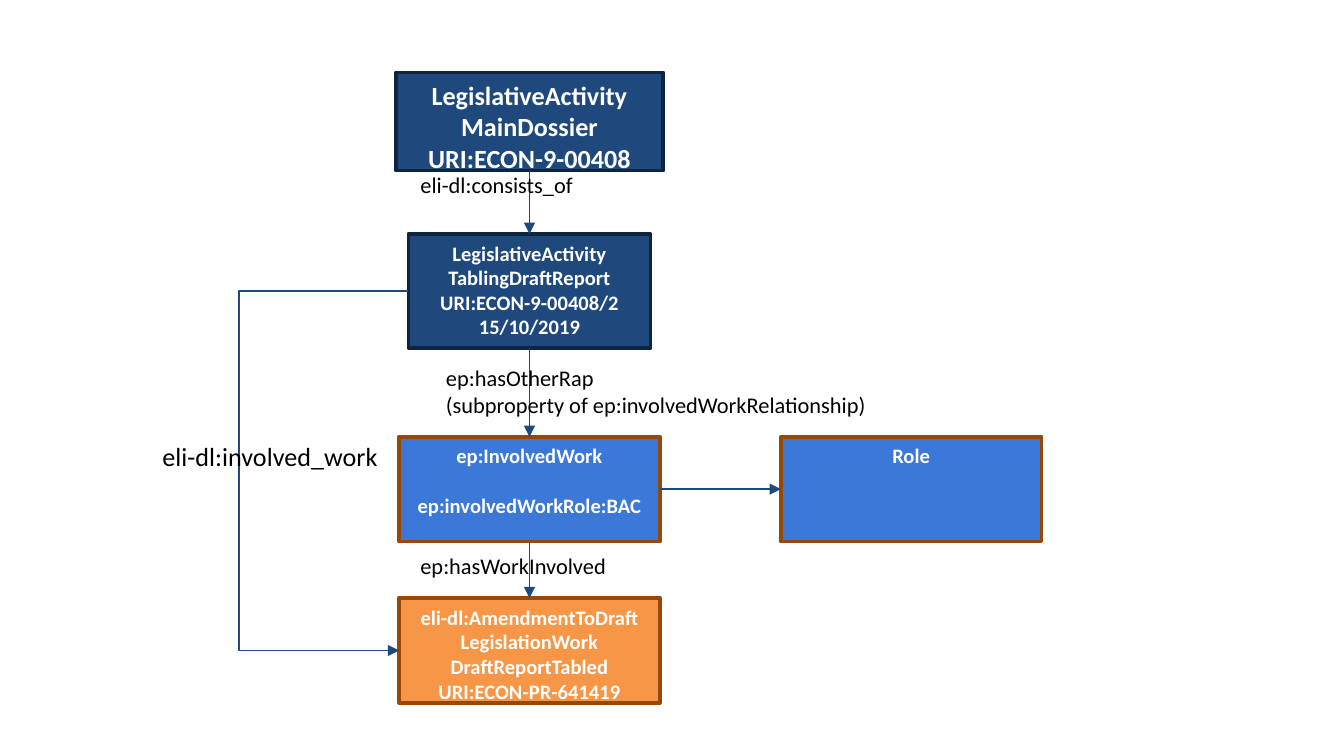
from typing import NamedTuple

from lxml.etree import SubElement
from pptx import Presentation
from pptx.dml.color import RGBColor
from pptx.enum.shapes import MSO_CONNECTOR as Link, MSO_SHAPE as Shape
from pptx.enum.text import MSO_ANCHOR as Anchor, PP_ALIGN as Align
from pptx.oxml.ns import qn
from pptx.util import Inches, Pt

NAVY = RGBColor(0x1F, 0x49, 0x7D)
INK = RGBColor(0x0F, 0x24, 0x3E)
BLUE = RGBColor(0x3C, 0x78, 0xD8)
ORANGE = RGBColor(0xF7, 0x96, 0x46)
BROWN = RGBColor(0x97, 0x48, 0x06)
WHITE = RGBColor(0xFF, 0xFF, 0xFF)
BLACK = RGBColor(0, 0, 0)
FONT = "Calibri"
AXIS = 3.94
TOP, LEFT, BOTTOM, RIGHT = range(4)


class Box(NamedTuple):
    mid: float
    top: float
    width: float
    height: float
    fill: RGBColor
    edge: RGBColor
    lines: list[str]
    size: int = 11
    gap: float = 0


class Label(NamedTuple):
    left: float
    top: float
    width: float
    height: float
    lines: list[str]
    size: int = 12


def write(frame, lines: list[str], size: int, color: RGBColor, bold: bool, align: Align, gap: float = 0) -> None:
    frame.word_wrap = True
    frame.vertical_anchor = Anchor.TOP
    for i, line in enumerate(lines):
        para = frame.add_paragraph() if i else frame.paragraphs[0]
        para.text = line
        para.alignment = align
        if i and gap:
            para.space_before = Pt(gap)
        font = para.font
        font.name, font.size, font.bold = FONT, Pt(size), bold
        font.color.rgb = color


def draw_box(slide, box: Box):
    shape = slide.shapes.add_shape(
        Shape.RECTANGLE, Inches(box.mid - box.width / 2), Inches(box.top),
        Inches(box.width), Inches(box.height))
    shape.shadow.inherit = False
    shape.fill.solid()
    shape.fill.fore_color.rgb = box.fill
    shape.line.color.rgb = box.edge
    shape.line.width = Pt(2)
    write(shape.text_frame, box.lines, box.size, WHITE, True, Align.CENTER, box.gap)
    return shape


def draw_label(slide, label: Label) -> None:
    shape = slide.shapes.add_textbox(*map(Inches, label[:4]))
    frame = shape.text_frame
    frame.margin_left = frame.margin_right = Inches(0.1)
    frame.margin_top = frame.margin_bottom = Inches(0.1)
    write(frame, label.lines, label.size, BLACK, False, Align.LEFT)


def add_arrow(slide, kind: Link, start: tuple[int, int], end: tuple[int, int]):
    arrow = slide.shapes.add_connector(kind, *start, *end)
    arrow.line.color.rgb = NAVY
    arrow.line.width = Pt(0.75)
    props = arrow._element.spPr
    SubElement(props.get_or_add_ln(), qn("a:tailEnd"), type="triangle")
    SubElement(props, qn("a:effectLst"))
    return arrow


def join(slide, first, side: int, last, face: int) -> None:
    arrow = add_arrow(slide, Link.STRAIGHT, (0, 0), (0, 0))
    arrow.begin_connect(first, side)
    arrow.end_connect(last, face)


def detour(slide, first, last, lane: float) -> None:
    start, end = ((box.left, box.top + box.height // 2) for box in (first, last))
    arrow = add_arrow(slide, Link.ELBOW, start, end)
    ratio = (start[0] - Inches(lane)) / (start[0] - end[0])
    guides = arrow._element.spPr.find(qn("a:prstGeom")).get_or_add_avLst()
    SubElement(guides, qn("a:gd"), name="adj1", fmla=f"val {round(ratio * 100000)}")


BOXES = [
    Box(AXIS, 0.54, 1.99, 0.73, NAVY, INK,
        ["LegislativeActivity", "MainDossier", "URI:ECON-9-00408"], 14),
    Box(AXIS, 1.74, 1.8, 0.85, NAVY, INK,
        ["LegislativeActivity", "TablingDraftReport", "URI:ECON-9-00408/2", "15/10/2019"]),
    Box(AXIS, 3.25, 1.94, 0.78, BLUE, BROWN,
        ["ep:InvolvedWork", "ep:involvedWorkRole:BAC"], gap=13.4),
    Box(AXIS, 4.45, 1.94, 0.78, ORANGE, BROWN,
        ["eli-dl:AmendmentToDraft", "LegislationWork", "DraftReportTabled", "URI:ECON-PR-641419"]),
    Box(6.78, 3.25, 1.94, 0.78, BLUE, BROWN, ["Role"]),
]
LABELS = [
    Label(3.03, 1.17, 1.38, 0.4, ["eli-dl:consists_of"]),
    Label(3.22, 2.61, 3.56, 0.81,
          ["ep:hasOtherRap", "(subproperty of ep:involvedWorkRelationship)"]),
    Label(3.03, 4.01, 2.8, 0.61, ["ep:hasWorkInvolved"]),
    Label(1.11, 3.18, 1.86, 0.44, ["eli-dl:involved_work"], 14),
]


def main() -> None:
    deck = Presentation()
    deck.slide_width = Inches(10)
    deck.slide_height = deck.slide_width * 9 // 16
    slide = deck.slides.add_slide(deck.slide_layouts[6])
    dossier, draft, work, report, role = [draw_box(slide, box) for box in BOXES]
    for upper, lower in ((dossier, draft), (draft, work), (work, report)):
        join(slide, upper, BOTTOM, lower, TOP)
    join(slide, work, RIGHT, role, LEFT)
    detour(slide, draft, report, 1.78)
    for label in LABELS:
        draw_label(slide, label)
    deck.save("out.pptx")


if __name__ == "__main__":
    main()
